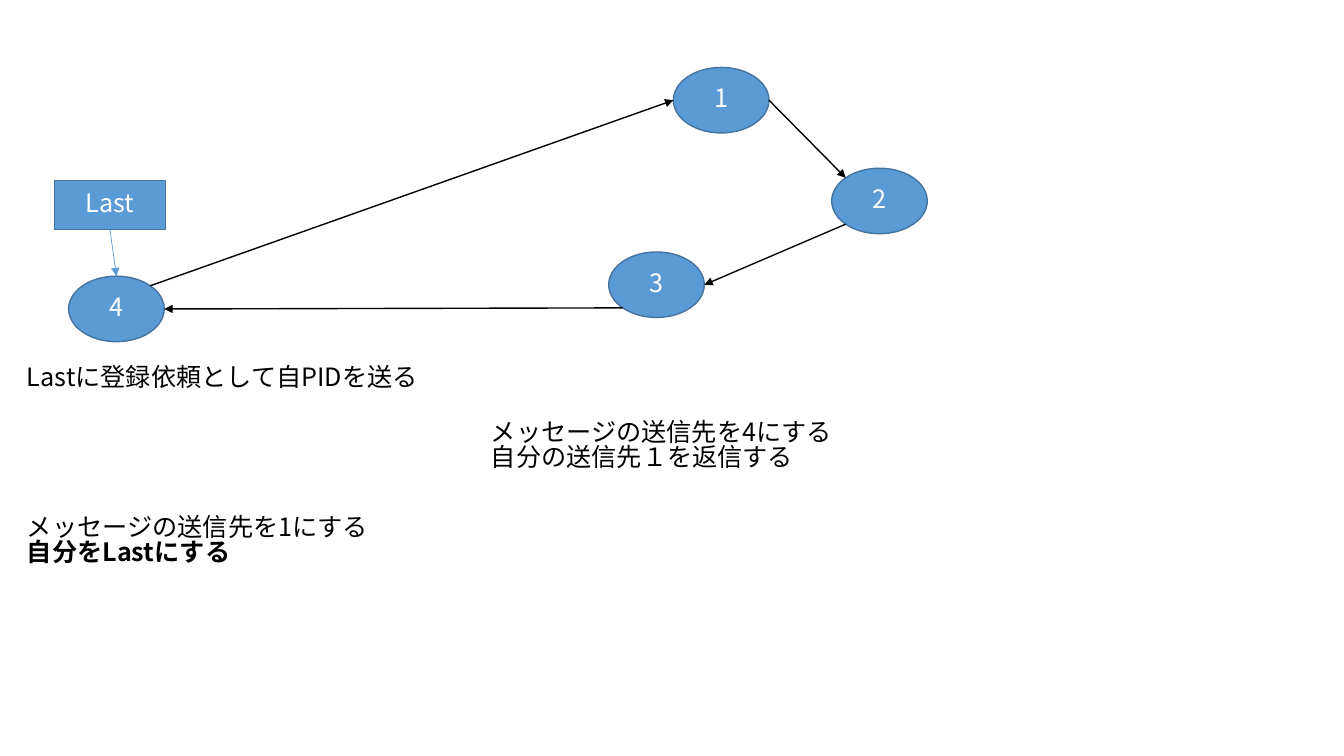
import math

import lxml.etree
import pptx
import pptx.dml.color
import pptx.enum.shapes
import pptx.enum.text
import pptx.oxml.ns
import pptx.util

Cm = pptx.util.Cm
Pt = pptx.util.Pt
RGBColor = pptx.dml.color.RGBColor
SHAPE = pptx.enum.shapes.MSO_SHAPE
qn = pptx.oxml.ns.qn

BLUE = RGBColor(0x5B, 0x9B, 0xD5)
EDGE = RGBColor(0x43, 0x73, 0x9E)
WHITE = RGBColor(0xFF, 0xFF, 0xFF)
BLACK = RGBColor(0x00, 0x00, 0x00)
FONT = "Noto Sans CJK JP"
LINE_SPACING = 0.83
NODE_SIZE = (2.41, 1.65)


def write(paragraph, text, color, bold=False):
    """Add one run in the slide's font to a paragraph."""
    paragraph.line_spacing = LINE_SPACING
    run = paragraph.add_run()
    run.text = text
    run.font.size = Pt(18)
    run.font.name = FONT
    run.font.color.rgb = color
    if bold:
        run.font.bold = True
    latin = run.font._element.find(qn("a:latin"))
    east_asian = lxml.etree.Element(qn("a:ea"), typeface=FONT)
    latin.addnext(east_asian)


def add_label(slide, preset, box, text):
    """Add a blue shape with a centred white label."""
    label = slide.shapes.add_shape(preset, *map(Cm, box))
    label.shadow.inherit = False
    label.fill.solid()
    label.fill.fore_color.rgb = BLUE
    label.line.color.rgb = EDGE
    label.line.width = Pt(1)
    frame = label.text_frame
    frame.vertical_anchor = pptx.enum.text.MSO_ANCHOR.MIDDLE
    frame.paragraphs[0].alignment = pptx.enum.text.PP_ALIGN.CENTER
    write(frame.paragraphs[0], text, WHITE)


def rim(box, degrees):
    """Return the point of an ellipse's rim, clockwise from the right."""
    left, top, width, height = box
    angle = math.radians(degrees)
    return (left + width / 2 * (1 + math.cos(angle)),
            top + height / 2 * (1 + math.sin(angle)))


def add_arrow(slide, start, end, color=BLACK, width=1):
    """Add a straight arrow between two points."""
    arrow = slide.shapes.add_connector(
        pptx.enum.shapes.MSO_CONNECTOR.STRAIGHT, *map(Cm, start + end))
    arrow.line.color.rgb = color
    arrow.line.width = Pt(width)
    outline = arrow.line._get_or_add_ln()
    lxml.etree.SubElement(outline, qn("a:tailEnd"), type="triangle")
    lxml.etree.SubElement(arrow._element.spPr, qn("a:effectLst"))


def add_ring(slide, left, top):
    """Draw the ring of numbered processes and the Last pointer."""
    offsets = {"1": (15.6, 0), "2": (19.59, 2.54),
               "3": (13.97, 4.65), "4": (0.36, 5.26)}
    nodes = {number: (left + x, top + y, *NODE_SIZE)
             for number, (x, y) in offsets.items()}
    last = (left, top + 2.85, 2.8, 1.23)

    add_label(slide, SHAPE.RECTANGLE, last, "Last")
    for number, box in nodes.items():
        add_label(slide, SHAPE.OVAL, box, number)

    pointer = (last[0] + last[2] / 2, last[1] + last[3])
    add_arrow(slide, pointer, rim(nodes["4"], 270), BLUE, 0.5)
    links = [("1", 0, "2", 225), ("2", 135, "3", 0),
             ("3", 135, "4", 0), ("4", 315, "1", 180)]
    for sender, leave, receiver, arrive in links:
        add_arrow(slide, rim(nodes[sender], leave), rim(nodes[receiver], arrive))


def add_note(slide, box, lines):
    """Add a note whose lines are pairs of text and boldness."""
    frame = slide.shapes.add_textbox(*map(Cm, box)).text_frame
    frame.word_wrap = True
    frame.auto_size = pptx.enum.text.MSO_AUTO_SIZE.SHAPE_TO_FIT_TEXT
    for index, (text, bold) in enumerate(lines):
        paragraph = frame.add_paragraph() if index else frame.paragraphs[0]
        write(paragraph, text, BLACK, bold)


def main():
    """Build the slide and save it."""
    deck = pptx.Presentation()
    deck.slide_width, deck.slide_height = Cm(33.87), Cm(19.05)
    slide = deck.slides.add_slide(deck.slide_layouts[6])
    add_ring(slide, 1.37, 1.7)
    add_note(slide, (0.43, 9.12, 10.59, 1.02),
             [("Lastに登録依頼として自PIDを送る", False)])
    add_note(slide, (12.12, 10.49, 9.19, 1.8),
             [("メッセージの送信先を4にする", False),
              ("自分の送信先１を返信する", False)])
    add_note(slide, (0.43, 12.88, 9.19, 1.8),
             [("メッセージの送信先を1にする", False),
              ("自分をLastにする", True)])
    deck.save("out.pptx")


main()
